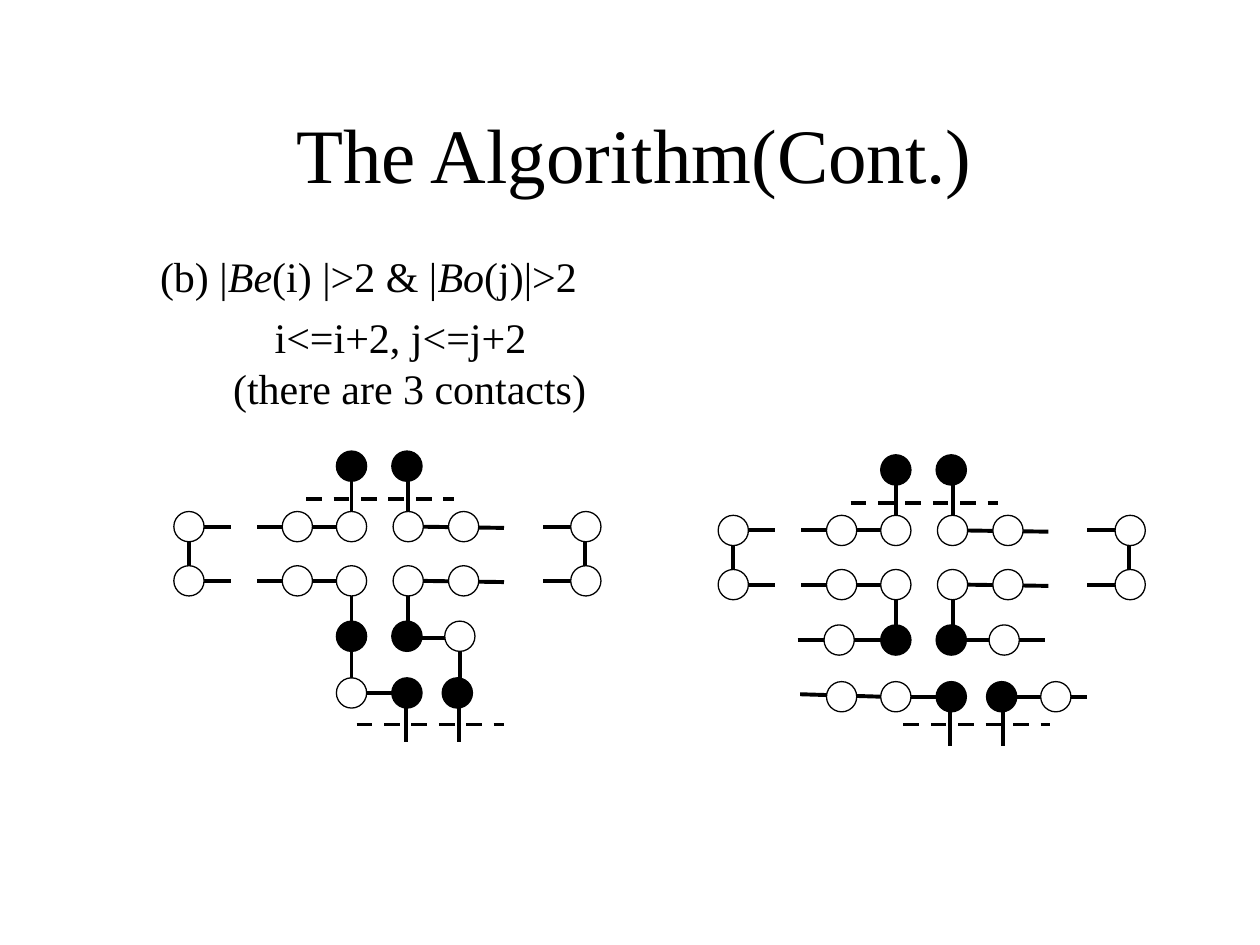
from lxml import etree
from pptx import Presentation
from pptx import util as u
from pptx.dml.color import RGBColor
from pptx.enum import dml, shapes, text
from pptx.oxml.ns import qn

FONT = "Times New Roman"
BLACK, WHITE = "000000", "FFFFFF"


def color(code):
    return RGBColor.from_string(code)


class Deck:
    """Holds the style and the current slide."""
    size = 0.24  # diameter of a residue
    thick = 2.25
    thin = 0.75

    def __init__(self):
        self.prs = Presentation()
        self.prs.slide_width, self.prs.slide_height = u.Inches(10), u.Inches(7.5)
        self.slide = self.prs.slides.add_slide(self.prs.slide_layouts[1])
        self.dx = self.dy = 0

    def move(self, dx, dy):
        self.dx, self.dy = dx, dy

    def place(self, index, x, y, w, h, anchor):
        box = self.slide.placeholders[index]
        box.left, box.top, box.width, box.height = map(u.Inches, (x, y, w, h))
        frame = box.text_frame
        frame.word_wrap = True
        frame.auto_size = text.MSO_AUTO_SIZE.NONE
        frame.vertical_anchor = anchor
        return frame

    def style(self, par, size):
        par.font.name, par.font.size = FONT, u.Pt(size)
        par.font.color.rgb = color(BLACK)

    def title(self, words):
        frame = self.place(0, 0.35, 0.5, 9.37, 1.42, text.MSO_ANCHOR.MIDDLE)
        par = frame.paragraphs[0]
        par.text = words
        par.alignment = text.PP_ALIGN.CENTER
        self.style(par, 44)

    def body(self, items):
        frame = self.place(1, 0.67, 1.94, 8.75, 1.48, text.MSO_ANCHOR.TOP)
        for n, (first, runs) in enumerate(items):
            par = frame.add_paragraph() if n else frame.paragraphs[0]
            props = par._p.get_or_add_pPr()
            props.set("marL", str(u.Inches(1.08)))
            props.set("indent", str(u.Inches(first)))
            etree.SubElement(props, qn("a:buNone"))
            par.space_before = u.Pt(6 if n else 0)
            self.style(par, 24)
            for words, slant in runs:
                if words == "\n":
                    par.add_line_break()
                    continue
                run = par.add_run()
                run.text = words
                if slant:
                    run.font.italic = True

    def line(self, x1, y1, x2, y2, dash=False):
        ends = (x1 + self.dx, y1 + self.dy, x2 + self.dx, y2 + self.dy)
        link = self.slide.shapes.add_connector(
            shapes.MSO_CONNECTOR.STRAIGHT, *map(u.Inches, ends))
        link.line.width = u.Pt(self.thick)
        link.line.color.rgb = color(BLACK)
        if dash:
            link.line.dash_style = dml.MSO_LINE.DASH
        etree.SubElement(link._element.spPr, qn("a:effectLst"))

    def dot(self, x, y, fill=WHITE):
        """Draw a residue around its centre."""
        half = self.size / 2
        ball = self.slide.shapes.add_shape(
            shapes.MSO_SHAPE.OVAL, u.Inches(x + self.dx - half),
            u.Inches(y + self.dy - half), u.Inches(self.size), u.Inches(self.size))
        ball.shadow.inherit = False
        ball.fill.solid()
        ball.fill.fore_color.rgb = color(fill)
        ball.line.color.rgb = color(BLACK)
        ball.line.width = u.Pt(self.thin)

    def fold(self, bonds, dots):
        """Draw the chain shared by both figures, with its own bonds and dots."""
        rows = (4.18, 4.61)
        for y in rows:
            for x1, x2 in ((1.5, 1.83), (2.04, 2.38), (2.42, 2.75), (4.31, 4.64)):
                self.line(x1, y, x2, y)
            self.line(3.33, y, 4, y + 0.01)
        for x, y1, y2 in ((1.5, 4.24, 4.57), (4.64, 4.24, 4.57),
                          (2.79, 3.79, 4.13), (3.24, 3.79, 4.21),
                          (2.79, 4.64, 4.97), (3.24, 4.64, 5.06),
                          (3.22, 5.51, 5.89), (3.64, 5.56, 5.89)):
            self.line(x, y1, x, y2)
        self.line(2.82, 5.5, 3.15, 5.5)
        self.line(2.43, 3.96, 3.6, 3.96, dash=True)
        for bond in bonds:
            self.line(*bond)
        for y in rows:
            for x in (1.5, 2.36, 2.79, 3.24, 3.68, 4.65):
                self.dot(x, y)
        for y in (3.7, 5.05):
            for x in (2.79, 3.23):
                self.dot(x, y, BLACK)
        for x, fill in ((2.79, WHITE), (3.23, BLACK), (3.63, BLACK)):
            self.dot(x, 5.5, fill)
        for x, y in dots:
            self.dot(x, y)


def main():
    deck = Deck()

    # Title and case
    deck.title("The Algorithm(Cont.)")
    deck.body([
        (-0.58, [("(b) |", False), ("Be", True), ("(i) |>2 & |", False),
                 ("Bo", True), ("(j)|>2", False)]),
        (0.33, [("i<=i+2, j<=j+2", False), ("\n", False),
                ("(there are 3 contacts)", False)]),
    ])

    # Left fold: the chain turns back
    deck.fold(
        [(2.79, 5.07, 2.79, 5.49), (3.26, 5.06, 3.6, 5.06),
         (3.65, 5.08, 3.65, 5.5), (2.83, 5.75, 4, 5.75, True)],
        [(3.65, 5.05)])

    # Right fold: the chain runs outward
    deck.move(4.32, 0.03)
    deck.fold(
        [(3.22, 5.05, 3.97, 5.05), (2.01, 5.05, 2.76, 5.05),
         (3.64, 5.5, 4.31, 5.5), (2.03, 5.48, 2.69, 5.5),
         (2.85, 5.72, 4.01, 5.72, True)],
        [(2.34, 5.05), (3.65, 5.05), (2.36, 5.5), (4.06, 5.5)])

    deck.prs.save("out.pptx")


if __name__ == "__main__":
    main()
